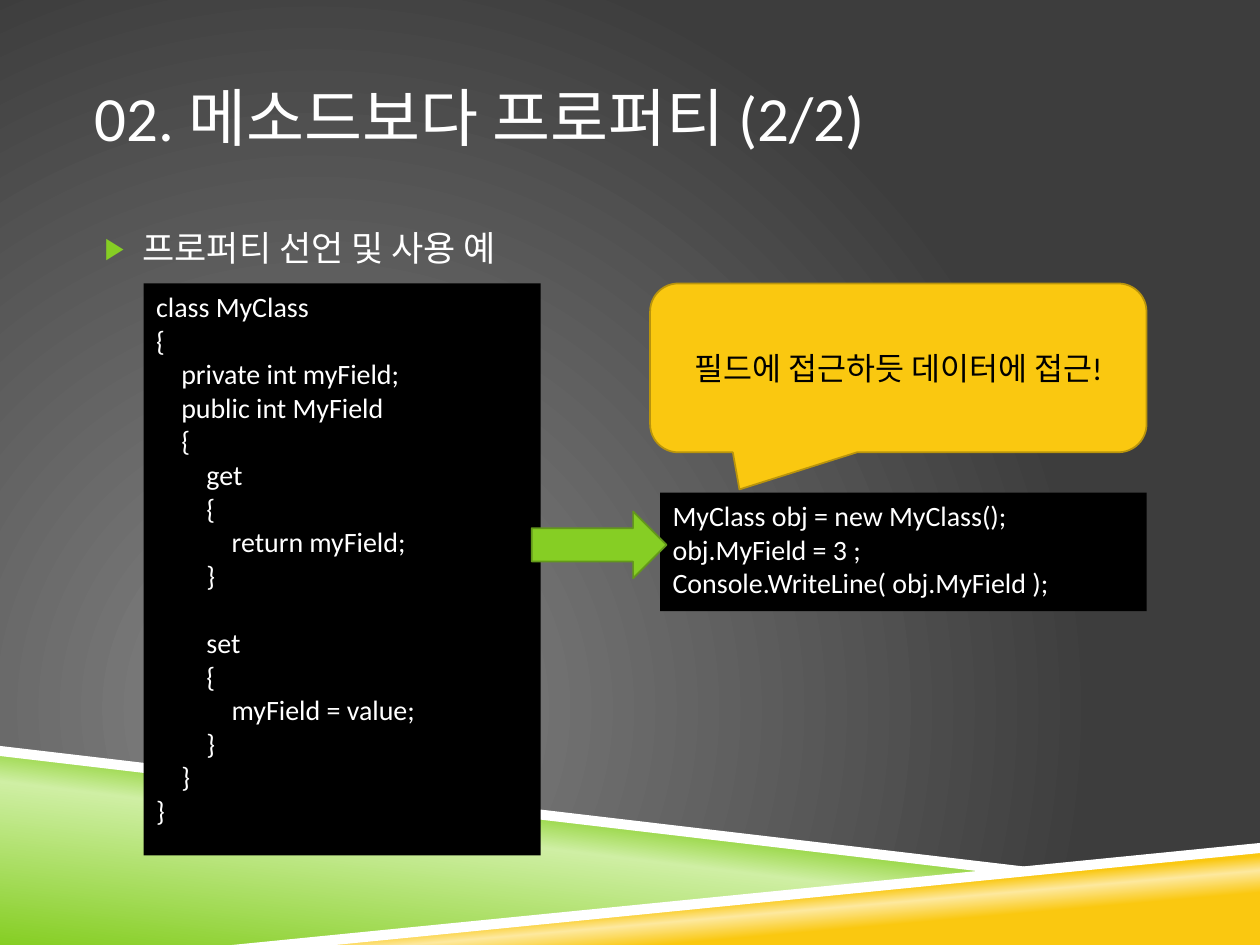
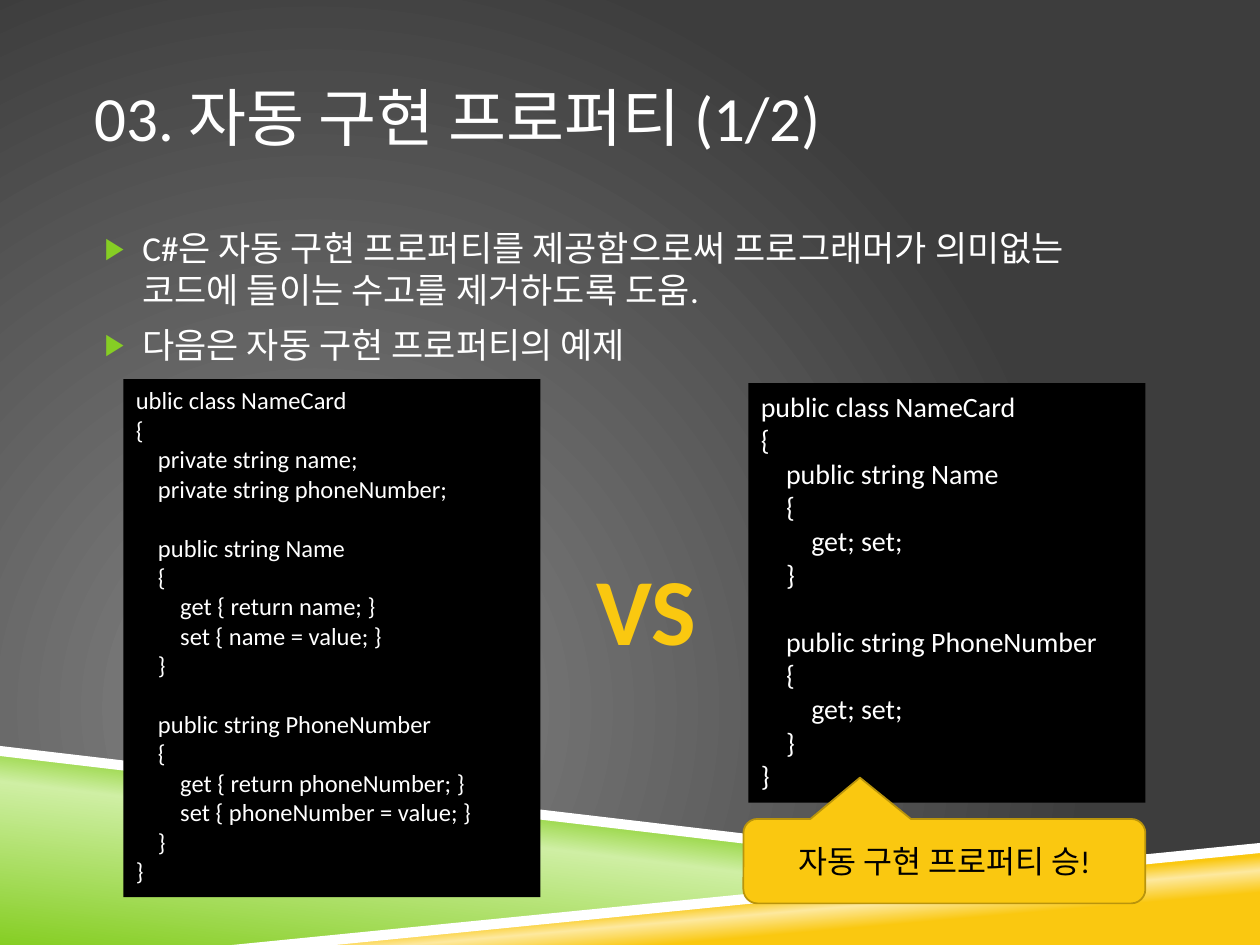
from pptx import Presentation
from pptx.util import Inches, Pt
from pptx.dml.color import RGBColor
from pptx.enum.shapes import MSO_SHAPE as Shape
from pptx.enum.text import MSO_ANCHOR as Anchor, MSO_AUTO_SIZE as Fit, PP_ALIGN as Align
from pptx.oxml.ns import qn
from lxml.etree import SubElement as Sub

FONT = "Calibri"
WHITE = RGBColor(0xFF, 0xFF, 0xFF)
BLACK = RGBColor(0, 0, 0)
GREEN = RGBColor(0x86, 0xCE, 0x24)
PALE_GREEN = RGBColor(0xCF, 0xEF, 0xA4)
DARK_GREEN = RGBColor(0x63, 0x98, 0x1B)
GOLD = RGBColor(0xFA, 0xC8, 0x10)
PALE_GOLD = RGBColor(0xFD, 0xE9, 0x9F)
DARK_GOLD = RGBColor(0xB9, 0x94, 0x0C)
GREY = RGBColor(0x87, 0x87, 0x87)
DARK_GREY = RGBColor(0x3D, 0x3D, 0x3D)

TITLE_BOX = (0.75, 0.3, 8.5, 1.25)
BODY_BOX = (0.75, 1.75, 8.5, 4.52)

# Corner points, then a plain colour or (gradient stops, angle)
BANDS = [
    ([(0, 5.97), (7.92, 6.92), (2, 7.5), (0, 7.5)],
     ([(0, GREEN), (52, PALE_GREEN), (66, GREEN)], 277)),
    ([(1.98, 7.5), (10, 6.72), (10, 7.5)],
     ([(28, GOLD), (40, PALE_GOLD), (48, GOLD)], 265)),
    ([(0, 5.92), (0, 6), (7.9, 6.93), (8.32, 6.9)], WHITE),
    ([(10, 6.69), (1.84, 7.5), (2.66, 7.5), (10, 6.77)], WHITE),
]

FIELD_CODE = """class MyClass
{
    private int myField;
    public int MyField
    {
        get
        {
            return myField;
        }

        set
        {
            myField = value;
        }
    }
}"""

USE_CODE = """MyClass obj = new MyClass();
obj.MyField = 3 ;
Console.WriteLine( obj.MyField );"""

AUTO_CODE = """public class NameCard
{
    public string Name
    {
        get; set;
    }

    public string PhoneNumber
    {
        get; set;
    }
}"""

LONG_CODE = """ublic class NameCard
{
    private string name;
    private string phoneNumber;

    public string Name
    {
        get { return name; }
        set { name = value; }
    }

    public string PhoneNumber
    {
        get { return phoneNumber; }
        set { phoneNumber = value; }
    }
}"""

SLIDES = [
    {"title": "02. 메소드보다 프로퍼티 (2/2)",
     "points": ["프로퍼티 선언 및 사용 예"],
     "code": [(FIELD_CODE, 16, (1.14, 2.25, 3.15, 4.54)),
              (USE_CODE, 16, (5.24, 3.91, 3.86, 0.94))],
     "arrow": (4.22, 4.06, 1.07, 0.53),
     "callout": ("필드에 접근하듯 데이터에 접근!", (5.16, 2.25, 3.94, 1.34), (-0.32, 0.72))},
    {"title": "03. 자동 구현 프로퍼티 (1/2)",
     "points": ["C#은 자동 구현 프로퍼티를 제공함으로써 프로그래머가 의미없는 "
                "코드에 들이는 수고를 제거하도록 도움.",
                "다음은 자동 구현 프로퍼티의 예제"],
     "code": [(AUTO_CODE, 16, (5.94, 3.04, 3.15, 3.33)),
              (LONG_CODE, 14, (0.98, 3.01, 3.31, 4.11))],
     "callout": ("자동 구현 프로퍼티 승!", (5.9, 6.5, 3.19, 0.67), (-0.21, -0.99)),
     "versus": ("VS", (4.53, 4.32, 1.2, 1.01))},
]


def inches(box):
    return [Inches(v) for v in box]


def place(shape, box):
    shape.left, shape.top, shape.width, shape.height = inches(box)


def blend(fill, root, stops, angle=None):
    """Give the fill under root these stops: linear at an angle, else circular."""
    fill.gradient()
    grad = root.find(".//" + qn("a:gradFill"))
    for child in list(grad):
        grad.remove(child)
    row = Sub(grad, qn("a:gsLst"))
    for spot, color in stops:
        stop = Sub(row, qn("a:gs"), pos=str(spot * 1000))
        Sub(stop, qn("a:srgbClr"), val=str(color))
    if angle is not None:
        Sub(grad, qn("a:lin"), ang=str(angle * 60000), scaled="0")
    else:
        ring = Sub(grad, qn("a:path"), path="circle")
        Sub(ring, qn("a:fillToRect"), l="50000", t="100000", r="100000", b="50000")


def style(frame, size, color, align=Align.LEFT, bold=False):
    for para in frame.paragraphs:
        para.alignment = align
        for run in para.runs:
            font = run.font
            font.name, font.size, font.bold = FONT, Pt(size), bold
            font.color.rgb = color


def add_bands(layout, slide):
    """Draw the bands on a slide, then move them to the back of its layout."""
    for depth, (points, paint) in enumerate(BANDS):
        start, *rest = [inches(p) for p in points]
        pen = slide.shapes.build_freeform(*start, scale=1.0)
        pen.add_line_segments(rest, close=True)
        band = pen.convert_to_shape()
        band.shadow.inherit = False
        band.line.fill.background()
        if isinstance(paint, RGBColor):
            band.fill.solid()
            band.fill.fore_color.rgb = paint
        else:
            blend(band.fill, band.element, *paint)
        layout.shapes.element.insert(2 + depth, band.element)


def set_layout(layout):
    for holder in list(layout.placeholders):
        kind = holder.placeholder_format.idx
        if kind > 1:
            holder.element.getparent().remove(holder.element)
            continue
        place(holder, BODY_BOX if kind else TITLE_BOX)
        frame = holder.text_frame
        frame.margin_left = frame.margin_right = 0
        frame.vertical_anchor = Anchor.TOP if kind else Anchor.MIDDLE
        frame.auto_size = Fit.NONE
    blend(layout.background.fill, layout.element, [(0, GREY), (100, DARK_GREY)])


def add_points(frame, points):
    frame.text = "\n".join(points)
    for rank, para in enumerate(frame.paragraphs):
        para.space_before = Pt(7 if rank else 0)
        props = para._p.get_or_add_pPr()
        props.set("marL", str(Inches(0.38)))
        props.set("indent", str(Inches(-0.3)))
        tint = Sub(props, qn("a:buClr"))
        Sub(tint, qn("a:srgbClr"), val=str(GREEN))
        Sub(props, qn("a:buSzPct"), val="85000")
        Sub(props, qn("a:buFont"), typeface="Arial")
        Sub(props, qn("a:buChar"), char="▶")
    style(frame, 20, WHITE)


def add_block(slide, kind, box, fill, line=None):
    block = slide.shapes.add_shape(kind, *inches(box))
    block.shadow.inherit = False
    block.fill.solid()
    block.fill.fore_color.rgb = fill
    if line is None:
        block.line.fill.background()
    else:
        block.line.color.rgb = line
        block.line.width = Pt(1)
    return block


def add_code(slide, code, size, box):
    frame = add_block(slide, Shape.RECTANGLE, box, BLACK).text_frame
    frame.text = "\n".join(line or " " for line in code.split("\n"))
    frame.vertical_anchor = Anchor.TOP
    style(frame, size, WHITE)


def add_callout(slide, text, box, tip):
    bubble = add_block(slide, Shape.ROUNDED_RECTANGULAR_CALLOUT, box, GOLD, DARK_GOLD)
    bubble.adjustments[0], bubble.adjustments[1] = tip
    frame = bubble.text_frame
    frame.text = text
    frame.vertical_anchor = Anchor.MIDDLE
    style(frame, 18, BLACK, Align.CENTER)


def add_versus(slide, text, box):
    frame = slide.shapes.add_textbox(*inches(box)).text_frame
    frame.text = text
    frame.word_wrap = False
    style(frame, 54, GOLD, Align.CENTER, bold=True)
    props = frame.paragraphs[0].runs[0]._r.get_or_add_rPr()
    edge = Sub(props, qn("a:ln"), w=str(Pt(1.5)))
    Sub(Sub(edge, qn("a:solidFill")), qn("a:srgbClr"), val=str(WHITE))
    props.insert(0, edge)


def main():
    deck = Presentation()
    deck.slide_width, deck.slide_height = Inches(10), Inches(7.5)
    layout = deck.slide_layouts[1]
    set_layout(layout)
    for rank, part in enumerate(SLIDES):
        slide = deck.slides.add_slide(layout)
        if rank == 0:
            add_bands(layout, slide)
        title, body = slide.placeholders
        title.text_frame.text = part["title"]
        style(title.text_frame, 36, WHITE)
        add_points(body.text_frame, part["points"])
        for code in part["code"]:
            add_code(slide, *code)
        if "arrow" in part:
            add_block(slide, Shape.RIGHT_ARROW, part["arrow"], GREEN, DARK_GREEN)
        add_callout(slide, *part["callout"])
        if "versus" in part:
            add_versus(slide, *part["versus"])
    deck.save("out.pptx")


if __name__ == "__main__":
    main()
